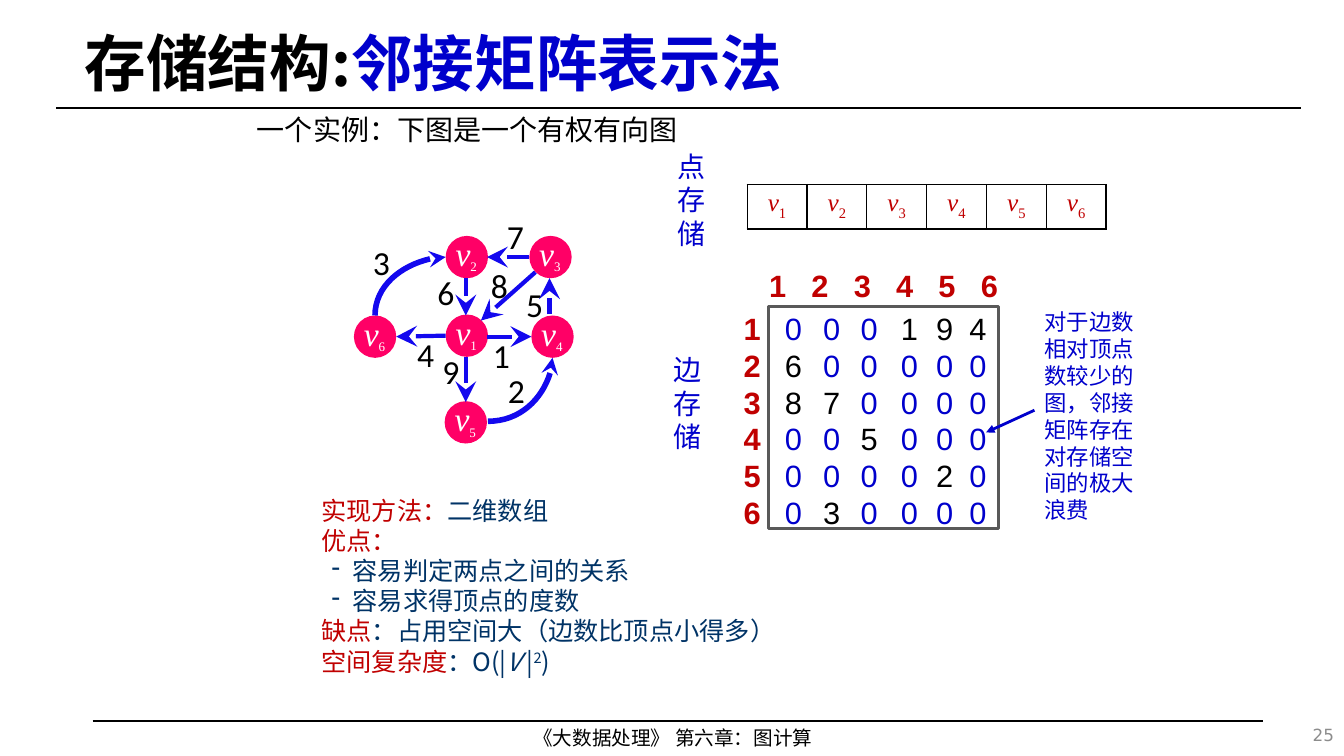
from dataclasses import dataclass
from typing import Optional

from lxml.etree import SubElement
from pptx import Presentation
from pptx.dml.color import RGBColor
from pptx.enum.shapes import MSO_CONNECTOR as Connector, MSO_SHAPE as Shape
from pptx.enum.text import MSO_ANCHOR as Anchor, PP_ALIGN as Align
from pptx.oxml.ns import qn
from pptx.util import Inches, Pt

BLACK = RGBColor(0x00, 0x00, 0x00)
WHITE = RGBColor(0xFF, 0xFF, 0xFF)
BLUE = RGBColor(0x00, 0x00, 0xCC)
EDGE_BLUE = RGBColor(0x13, 0x08, 0xEE)
NAVY = RGBColor(0x00, 0x33, 0x66)
RED = RGBColor(0xC0, 0x00, 0x00)
PINK = RGBColor(0xFF, 0x00, 0x66)
GRAY = RGBColor(0x59, 0x59, 0x59)
PAGE_GRAY = RGBColor(0x8C, 0x8C, 0x8C)
CJK, SERIF = "Noto Sans CJK SC", "Times New Roman"

VERTICES = {1: (4.42, 3.12), 2: (4.42, 2.34), 3: (5.25, 2.34),
            4: (5.27, 3.13), 5: (4.41, 3.98), 6: (3.51, 3.13)}
STRAIGHT_EDGES = [
    ((4.42, 3.33), (3.93, 3.34)), ((4.62, 3.54), (4.62, 3.99)),
    ((4.83, 3.34), (5.27, 3.34)), ((4.62, 2.76), (4.62, 3.13)),
    ((5.45, 3.12), (5.45, 2.76)), ((5.25, 2.55), (4.83, 2.55)),
    ((5.31, 2.7), (4.77, 3.18)),
]
WEIGHTS = {3: (3.6, 2.35), 4: (4.04, 3.26), 9: (4.29, 3.43),
           6: (4.24, 2.65), 7: (4.93, 2.09), 8: (4.77, 2.58),
           5: (5.12, 2.77), 2: (4.94, 3.62), 1: (4.79, 3.27)}
MATRIX = ["000194", "600000", "870000", "005000", "000020", "030000"]
COLUMN_LEFTS = [7.7, 8.08, 8.45, 8.85, 9.2, 9.53]


@dataclass
class Run:
    text: str
    color: Optional[RGBColor] = None
    italic: Optional[bool] = None
    size: Optional[float] = None
    baseline: Optional[int] = None


def vertex_runs(number, subscript_size=None):
    return [Run("v", italic=True),
            Run(str(number), size=subscript_size, baseline=-25000)]


def fill_paragraph(paragraph, runs, size, font, color, bold=None,
                   align=Align.LEFT, spacing=None):
    paragraph.alignment = align
    if spacing:
        paragraph.line_spacing = Pt(spacing)
    paragraph.font.size = Pt(size)
    paragraph.font.name = font
    paragraph.font.bold = bold
    paragraph.font.color.rgb = color
    default_font = paragraph._p.pPr.find(qn("a:defRPr"))
    SubElement(default_font, qn("a:ea")).set("typeface", font)
    for item in runs:
        run = paragraph.add_run()
        run.text = item.text
        if item.color is not None:
            run.font.color.rgb = item.color
        if item.italic:
            run.font.italic = True
        if item.size:
            run.font.size = Pt(item.size)
        if item.baseline:
            run.font._element.set("baseline", str(item.baseline))


def add_text(slide, box, paragraphs, size, font, color, wrap=True,
             anchor=Anchor.TOP, side_inset=0.1, tabs=(), dashes=(), **style):
    """Each paragraph is a string or a list of Run; dashes holds bulleted indexes."""
    frame = slide.shapes.add_textbox(*map(Inches, box)).text_frame
    frame.word_wrap = wrap
    frame.vertical_anchor = anchor
    frame.margin_left = frame.margin_right = Inches(side_inset)
    for index, content in enumerate(paragraphs):
        paragraph = frame.add_paragraph() if index else frame.paragraphs[0]
        properties = paragraph._p.get_or_add_pPr()
        if index in dashes:
            properties.set("marL", str(Inches(0.31)))
            properties.set("indent", str(Inches(-0.21)))
            SubElement(properties, qn("a:buChar")).set("char", "-")
        if tabs:
            tab_list = SubElement(properties, qn("a:tabLst"))
            for position in tabs:
                tab = SubElement(tab_list, qn("a:tab"))
                tab.set("pos", str(Inches(position)))
                tab.set("algn", "l")
        runs = [Run(content)] if isinstance(content, str) else content
        fill_paragraph(paragraph, runs, size, font, color, **style)


def add_cjk(slide, box, paragraphs, size, color, **style):
    add_text(slide, box, paragraphs, size, CJK, color, spacing=1.2 * size, **style)


def add_digits(slide, box, paragraphs, color, **style):
    add_text(slide, box, paragraphs, 22, "Arial", color, spacing=26.4, **style)


def add_line(slide, start, end, color, width, arrow=None, arrow_size="med",
             arrow_end="a:tailEnd", curved=False):
    kind = Connector.CURVE if curved else Connector.STRAIGHT
    line = slide.shapes.add_connector(kind, *map(Inches, (*start, *end)))
    line.line.color.rgb = color
    line.line.width = Pt(width)
    properties = line._element.spPr
    if curved:
        properties.find(qn("a:prstGeom")).set("prst", "curvedConnector2")
    if arrow:
        head = SubElement(line.line._get_or_add_ln(), qn(arrow_end))
        head.set("type", arrow)
        head.set("w", arrow_size)
        head.set("len", arrow_size)
    SubElement(properties, qn("a:effectLst"))


def add_vertex(slide, left, top):
    circle = slide.shapes.add_shape(
        Shape.OVAL, *map(Inches, (left, top, 0.42, 0.42)))
    circle.shadow.inherit = False
    circle.fill.solid()
    circle.fill.fore_color.rgb = PINK
    circle.line.fill.background()


def add_graph(slide):
    for position in VERTICES.values():
        add_vertex(slide, *position)
    for start, end in STRAIGHT_EDGES:
        add_line(slide, start, end, EDGE_BLUE, 3, "stealth", "lg")
    add_line(slide, (4.42, 2.55), (3.72, 3.13), EDGE_BLUE, 4, "stealth",
             arrow_end="a:headEnd", curved=True)
    add_line(slide, (4.84, 4.18), (5.48, 3.55), EDGE_BLUE, 4, "stealth", curved=True)
    for weight, position in WEIGHTS.items():
        add_text(slide, (*position, 0.37, 0.51), [str(weight)], 24, "Calibri",
                 BLACK, wrap=False)
    for number, (left, top) in VERTICES.items():
        add_text(slide, (left, top - 0.08, 0.43, 0.51), [vertex_runs(number, 16)],
                 24, SERIF, WHITE, wrap=False)


def add_matrix(slide):
    frame = slide.shapes.add_shape(
        Shape.RECTANGLE, *map(Inches, (7.62, 3.04, 2.28, 2.2)))
    frame.shadow.inherit = False
    frame.fill.background()
    frame.line.color.rgb = GRAY
    frame.line.width = Pt(2)
    indexes = [str(number) for number in VERTICES]
    add_digits(slide, (7.53, 2.6, 2.7, 0.29), ["\t".join(indexes)], RED, bold=True,
               tabs=[0.42 * step for step in range(1, len(indexes))])
    add_digits(slide, (7.29, 3.02, 0.34, 2.2), indexes, RED, bold=True,
               align=Align.CENTER, side_inset=0)
    for left, column in zip(COLUMN_LEFTS, zip(*MATRIX)):
        values = [[Run(value, BLUE if value == "0" else BLACK)] for value in column]
        add_digits(slide, (left, 3.02, 0.34, 2.2), values, BLACK,
                   align=Align.CENTER, side_inset=0)


def add_vertex_table(slide):
    graphic = slide.shapes.add_table(
        1, len(VERTICES), *map(Inches, (7.41, 1.83, 3.56, 0.41)))
    table = graphic.table
    table.first_row = table.horz_banding = False
    for number, cell in enumerate(table.rows[0].cells, 1):
        fill_paragraph(cell.text_frame.paragraphs[0], vertex_runs(number),
                       18, SERIF, RED, align=Align.CENTER)
        properties = cell._tc.get_or_add_tcPr()
        for side in ("a:lnL", "a:lnR", "a:lnT", "a:lnB"):
            border = SubElement(properties, qn(side))
            border.set("w", str(Pt(1)))
            fill = SubElement(border, qn("a:solidFill"))
            SubElement(fill, qn("a:srgbClr")).set("val", str(BLACK))
        cell.fill.background()


def main():
    presentation = Presentation()
    presentation.slide_width = Inches(13.33)
    presentation.slide_height = Inches(7.5)
    slide = presentation.slides.add_slide(presentation.slide_layouts[6])

    add_line(slide, (0.56, 1.07), (12.9, 1.07), BLACK, 1.75)
    add_line(slide, (0.92, 7.15), (12.53, 7.15), BLACK, 1.25)
    add_cjk(slide, (3.99, 7.15, 5.37, 0.34), ["《大数据处理》 第六章：图计算"], 14, BLACK,
            align=Align.CENTER)
    add_cjk(slide, (0.74, 0.15, 11.95, 0.92),
            [[Run("存储结构:"), Run("邻接矩阵表示法", BLUE)]], 44, BLACK,
            bold=True, anchor=Anchor.MIDDLE)
    add_graph(slide)
    add_matrix(slide)
    add_line(slide, (10.26, 4.07), (9.78, 4.29), BLUE, 2, "triangle")
    add_cjk(slide, (10.26, 3.01, 1.18, 2.26),
            ["对于边数相对顶点数较少的图，邻接矩阵存在对存储空间的极大浪费"], 16, BLUE)
    add_cjk(slide, (2.45, 1.07, 4.41, 0.44), ["一个实例：下图是一个有权有向图"], 20, BLACK,
            wrap=False)
    add_cjk(slide, (6.58, 3.45, 0.48, 1.11), list("边存储"), 20, BLUE, wrap=False)
    add_cjk(slide, (6.62, 1.43, 0.48, 1.11), list("点存储"), 20, BLUE, wrap=False,
            align=Align.CENTER)
    add_vertex_table(slide)
    add_cjk(slide, (3.09, 4.86, 5.12, 1.92), [
        [Run("实现方法：", RED), Run("二维数组")],
        [Run("优点：", RED)],
        "容易判定两点之间的关系",
        "容易求得顶点的度数",
        [Run("缺点", RED), Run("：占用空间大（边数比顶点小得多）")],
        [Run("空间复杂度", RED), Run("：O(|"), Run("V ", italic=True), Run("|"),
         Run("2", baseline=30000), Run(")")],
    ], 18, NAVY, dashes=(2, 3))
    add_text(slide, (10.33, 7.09, 3, 0.4), ["25"], 12, "DejaVu Sans", PAGE_GRAY,
             anchor=Anchor.MIDDLE, align=Align.RIGHT)
    presentation.save("out.pptx")


if __name__ == "__main__":
    main()
